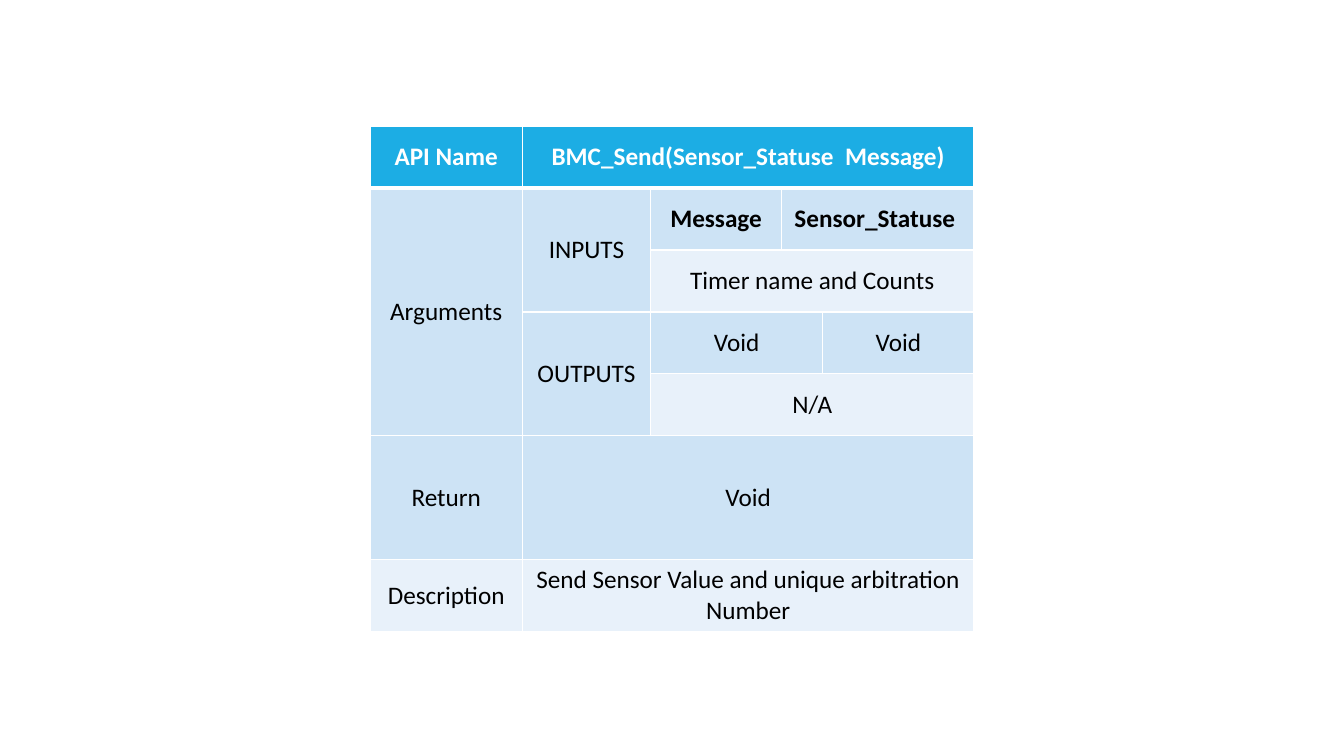
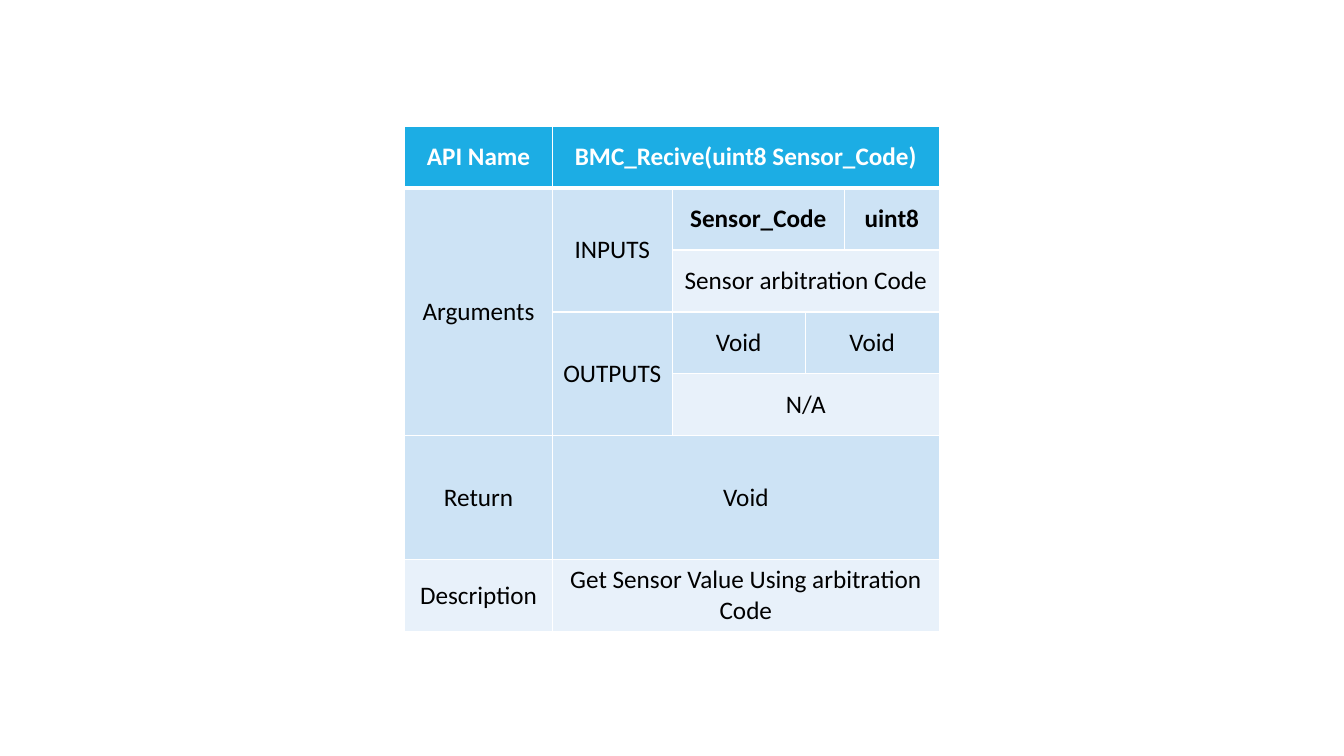
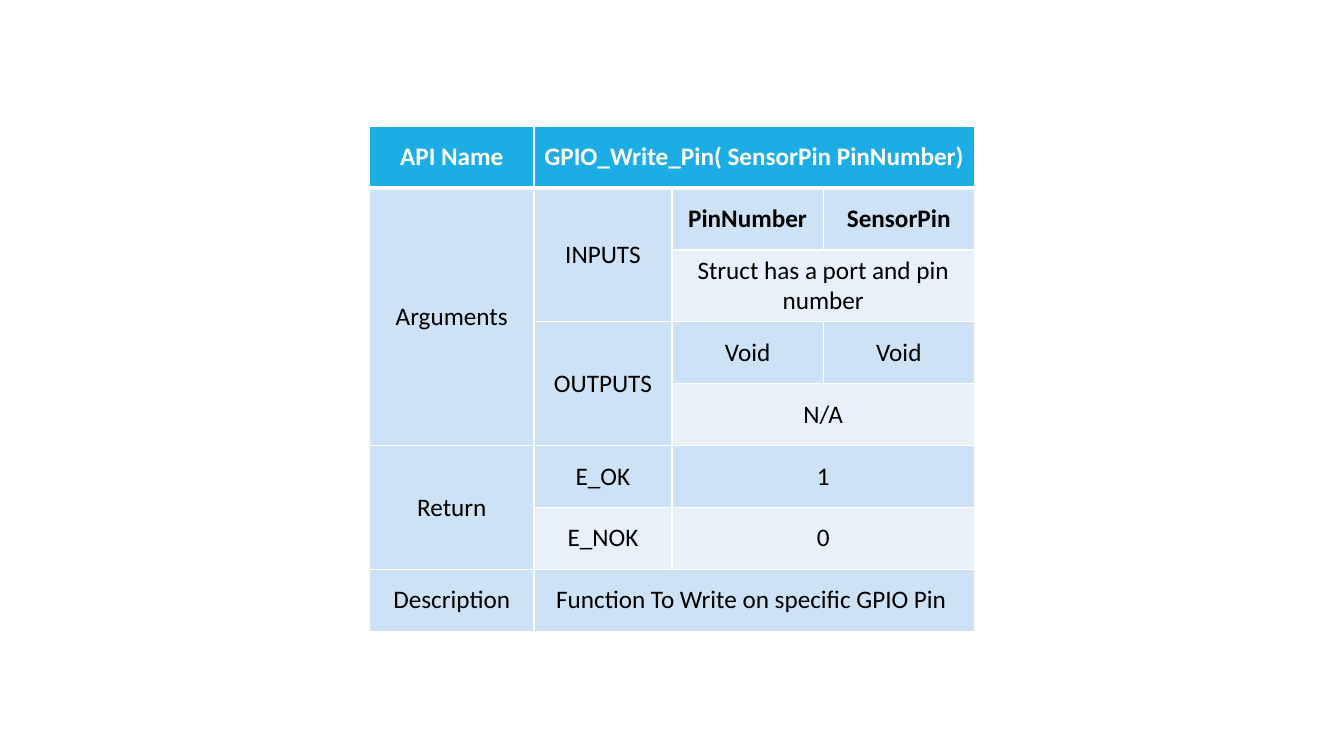
from lxml.etree import SubElement
from pptx import Presentation
from pptx.dml.color import RGBColor as Color
from pptx.enum.text import MSO_ANCHOR as Anchor, PP_ALIGN as Align
from pptx.oxml.ns import qn
from pptx.util import Cm, Pt

COLORS = {
    "header": "1CADE4",
    "band_dark": "CDE3F5",
    "band_light": "E8F1FA",
    "white": "FFFFFF",
    "black": "000000",
}
FONT = "Calibri"
TEXT_SIZE = 18
TABLE_TOP = 3.18
ROW_HEIGHT = 1.56
THIN, THICK = 1, 3


def write_text(cell, text, color="black", bold=False, size=TEXT_SIZE):
    paragraph = cell.text_frame.paragraphs[0]
    paragraph.alignment = Align.CENTER
    run = paragraph.add_run()
    run.text = text
    run.font.name = FONT
    run.font.size = Pt(size)
    run.font.bold = bold
    run.font.color.rgb = Color.from_string(COLORS[color])


class Deck:
    def __init__(self):
        self.presentation = Presentation()
        self.presentation.slide_width = Cm(33.87)
        self.presentation.slide_height = Cm(19.05)
        self.slide = None

    def add_slide(self):
        layout = self.presentation.slide_layouts[6]
        self.slide = self.presentation.slides.add_slide(layout)

    def add_table(self, widths, heights):
        width = Cm(sum(widths))
        left = (self.presentation.slide_width - width) // 2
        table = self.slide.shapes.add_table(
            len(heights), len(widths), left, Cm(TABLE_TOP), width, Cm(sum(heights))
        ).table
        for column, column_width in zip(table.columns, widths):
            column.width = Cm(column_width)
        for index, (row, height) in enumerate(zip(table.rows, heights)):
            row.height = Cm(height)
            for cell in row.cells:
                self.style_cell(cell, index)
        return table

    def style_cell(self, cell, row):
        borders = {
            "a:lnL": THIN,
            "a:lnR": THIN,
            "a:lnT": THICK if row == 1 else THIN,
            "a:lnB": THICK if row == 0 else THIN,
        }
        cell.vertical_anchor = Anchor.MIDDLE
        properties = cell._tc.get_or_add_tcPr()
        for tag, weight in borders.items():
            line = SubElement(properties, qn(tag), w=str(Pt(weight)))
            fill = SubElement(line, qn("a:solidFill"))
            SubElement(fill, qn("a:srgbClr"), val=COLORS["white"])
        band = "header" if row == 0 else "band_dark" if row % 2 else "band_light"
        cell.fill.solid()
        cell.fill.fore_color.rgb = Color.from_string(COLORS[band])

    def add_entry(self, table, row, column, text, last_row=None, end=None, **text_format):
        cell = table.cell(row, column)
        last_row = row if last_row is None else last_row
        last_column = column if end is None else end - 1
        if (last_row, last_column) != (row, column):
            cell.merge(table.cell(last_row, last_column))
        write_text(cell, text, **text_format)

    def add_argument(self, table, row, label, names, split, note, end, bold=False):
        self.add_entry(table, row, 1, label, last_row=row + 1)
        self.add_entry(table, row, 2, names[0], end=split, bold=bold)
        self.add_entry(table, row, split, names[1], end=end, bold=bold)
        self.add_entry(table, row + 1, 2, note, end=end)

    def add_api(self, name, widths, inputs, input_note, input_split, output_split,
                description, returns=()):
        self.add_slide()
        end = len(widths)
        return_heights = [ROW_HEIGHT] * len(returns) or [2 * ROW_HEIGHT]
        table = self.add_table(widths, [ROW_HEIGHT] * 5 + return_heights + [ROW_HEIGHT])
        last_return = 4 + len(return_heights)

        self.add_entry(table, 0, 0, "API Name", color="white", bold=True)
        self.add_entry(table, 0, 1, name, end=end, color="white", bold=True)
        self.add_entry(table, 1, 0, "Arguments", last_row=4)
        self.add_argument(table, 1, "INPUTS", inputs, input_split, input_note, end, bold=True)
        self.add_argument(table, 3, "OUTPUTS", ("Void", "Void"), output_split, "N/A", end)
        self.add_entry(table, 5, 0, "Return", last_row=last_return)
        for row, (code, value) in enumerate(returns, 5):
            self.add_entry(table, row, 1, code)
            self.add_entry(table, row, 2, value, end=end)
        if not returns:
            self.add_entry(table, 5, 1, "Void", end=end)
        self.add_entry(table, last_return + 1, 0, "Description")
        self.add_entry(table, last_return + 1, 1, description, end=end)


def main():
    deck = Deck()
    deck.add_api(
        "BMC_Send(Sensor_Statuse  Message)",
        widths=[3.84, 3.23, 3.3, 1.04, 3.81],
        inputs=("Message", "Sensor_Statuse "),
        input_note="Timer name and Counts",
        input_split=3,
        output_split=4,
        description="Send Sensor Value and unique arbitration Number",
    )
    deck.add_api(
        "BMC_Recive(uint8 Sensor_Code)",
        widths=[3.72, 3.02, 3.35, 0.99, 2.39],
        inputs=("Sensor_Code", "uint8"),
        input_note="Sensor arbitration Code",
        input_split=4,
        output_split=3,
        description="Get Sensor Value Using arbitration Code",
    )
    deck.add_api(
        "GPIO_Write_Pin( SensorPin PinNumber)",
        widths=[4.14, 3.48, 3.81, 3.81],
        inputs=("PinNumber", "SensorPin"),
        input_note="Struct has a port and pin number",
        input_split=3,
        output_split=3,
        description="Function To Write on specific GPIO Pin ",
        returns=(("E_OK", "1"), ("E_NOK", "0")),
    )
    deck.presentation.save("out.pptx")


if __name__ == "__main__":
    main()
